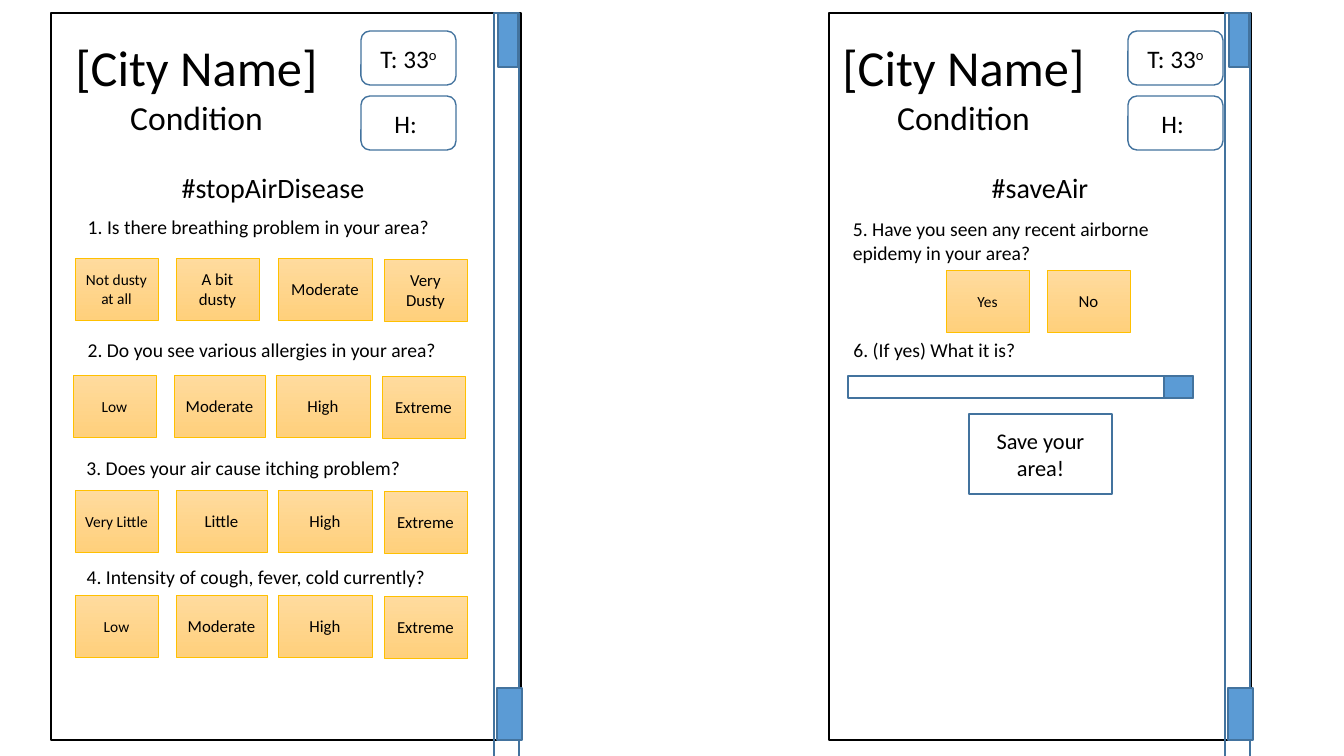
from pptx import Presentation
from pptx.dml.color import RGBColor
from pptx.enum.shapes import MSO_SHAPE
from pptx.enum.text import MSO_ANCHOR, PP_ALIGN
from pptx.util import Pt

SCALE = 914400 / 100.8
BLACK, WHITE, BLUE, NAVY, GOLD = "000000", "FFFFFF", "5B9BD5", "43739E", "FFC000"
PEACH = ("FFDB9E", "FFD07C")


def write(shape, text, sizes=(14,), align=PP_ALIGN.CENTER, wrap=False, raised=""):
    """Write one paragraph per line of text; the last size serves all further lines."""
    frame = shape.text_frame
    frame.word_wrap = wrap
    for index, line in enumerate(text.split("\n")):
        para = frame.paragraphs[0] if index == 0 else frame.add_paragraph()
        para.alignment = align
        for part in filter(None, (line, raised)):
            span = para.add_run()
            span.text = part
            span.font.name = "Calibri"
            span.font.size = Pt(sizes[min(index, len(sizes) - 1)])
            span.font.color.rgb = RGBColor.from_string(BLACK)
            if part == raised:
                span._r.get_or_add_rPr().set("baseline", "30000")


def add_box(shapes, place, kind=MSO_SHAPE.RECTANGLE, fill=None, line=NAVY, weight=1):
    """Add a preset shape at a pixel place; fill is None, a colour or a gradient pair."""
    box = shapes.add_shape(kind, *(round(length * SCALE) for length in place))
    box.shadow.inherit = False
    box.line.color.rgb = RGBColor.from_string(line)
    box.line.width = Pt(weight)
    box.text_frame.vertical_anchor = MSO_ANCHOR.MIDDLE
    if fill is None:
        box.fill.background()
    elif isinstance(fill, str):
        box.fill.solid()
        box.fill.fore_color.rgb = RGBColor.from_string(fill)
    else:
        box.fill.gradient()
        box.fill.gradient_angle = 270
        for stop, colour in zip(box.fill.gradient_stops, fill):
            stop.color.rgb = RGBColor.from_string(colour)
    return box


deck = Presentation()
deck.slide_width, deck.slide_height = round(1344 * SCALE), round(756 * SCALE)
page = deck.slides.add_slide(deck.slide_layouts[6])
shapes = page.shapes

# Phone screens: frame left, frame width, heading left, reading left
for frame_left, frame_width, heading_left, reading_left in (
        (51, 470, 64, 361), (829, 422, 831, 1128)):
    add_box(shapes, (frame_left, 13, frame_width, 727), fill=WHITE, line=BLACK)
    heading = shapes.add_textbox(*(round(n * SCALE) for n in (heading_left, 31, 265, 112)))
    write(heading, "[City Name]\nCondition", sizes=(36, 24))
    for top, reading, raised in ((31, "T: 33", "o"), (96, "H: ", "")):
        box = add_box(shapes, (reading_left, top, 95, 54), MSO_SHAPE.ROUNDED_RECTANGLE)
        write(box, reading, sizes=(18,), wrap=True, raised=raised)

# Hashtags and questions
labels = (
    ((170, 166, 206, 44), "#stopAirDisease", 20, PP_ALIGN.CENTER),
    ((76, 210, 365, 34), "1. Is there breathing problem in your area?", 14, PP_ALIGN.CENTER),
    ((76, 333, 372, 34), "2. Do you see various allergies in your area?", 14, PP_ALIGN.CENTER),
    ((75, 451, 337, 34), "3. Does your air cause itching problem?", 14, PP_ALIGN.CENTER),
    ((75, 560, 362, 34), "4. Intensity of cough, fever, cold currently?", 14, PP_ALIGN.CENTER),
    ((981, 166, 118, 44), "#saveAir", 20, PP_ALIGN.CENTER),
    ((843, 212, 324, 57), "5. Have you seen any recent airborne \nepidemy in your area?",
     14, PP_ALIGN.LEFT),
    ((843, 333, 183, 34), "6. (If yes) What it is?", 14, PP_ALIGN.CENTER),
)
for place, text, size, align in labels:
    label = shapes.add_textbox(*(round(length * SCALE) for length in place))
    write(label, text, sizes=(size,), align=align)

# Answer buttons: row left, row top, second button width, answers
answer_rows = (
    (75, 258, 83, ("Not dusty at all", "A bit dusty", "Moderate", "Very Dusty")),
    (73, 375, 91, ("Low", "Moderate", "High", "Extreme")),
    (75, 490, 91, ("Very Little", "Little", "High", "Extreme")),
    (75, 595, 91, ("Low", "Moderate", "High", "Extreme")),
    (946, 270, 83, ("Yes", "No")),
)
for row_left, row_top, second_width, answers in answer_rows:
    columns = zip(answers, (0, 101, 203, 309), (83, second_width, 94, 83),
                  (0, 0, 0, 1), (11, 12, 12, 12))
    for answer, shift, width, drop, size in columns:
        button = add_box(shapes, (row_left + shift, row_top + drop, width, 62),
                         fill=PEACH, line=GOLD, weight=0.5)
        write(button, answer, sizes=(size,), wrap=True)

save_button = add_box(shapes, (969, 414, 143, 80))
write(save_button, "Save your area!", sizes=(16,), wrap=True)

dropdown = shapes.add_group_shape().shapes
add_box(dropdown, (848, 376, 345, 22), fill=WHITE)
add_box(dropdown, (1164, 376, 29, 22), fill=BLUE)

# Scroll bars
for track_left in (494, 1225):
    add_box(shapes, (track_left, 13, 25, 897))
    add_box(shapes, (track_left + 4, 13, 20, 54), fill=BLUE)
    add_box(shapes, (track_left + 3, 688, 25, 52), fill=BLUE)

deck.save("out.pptx")
